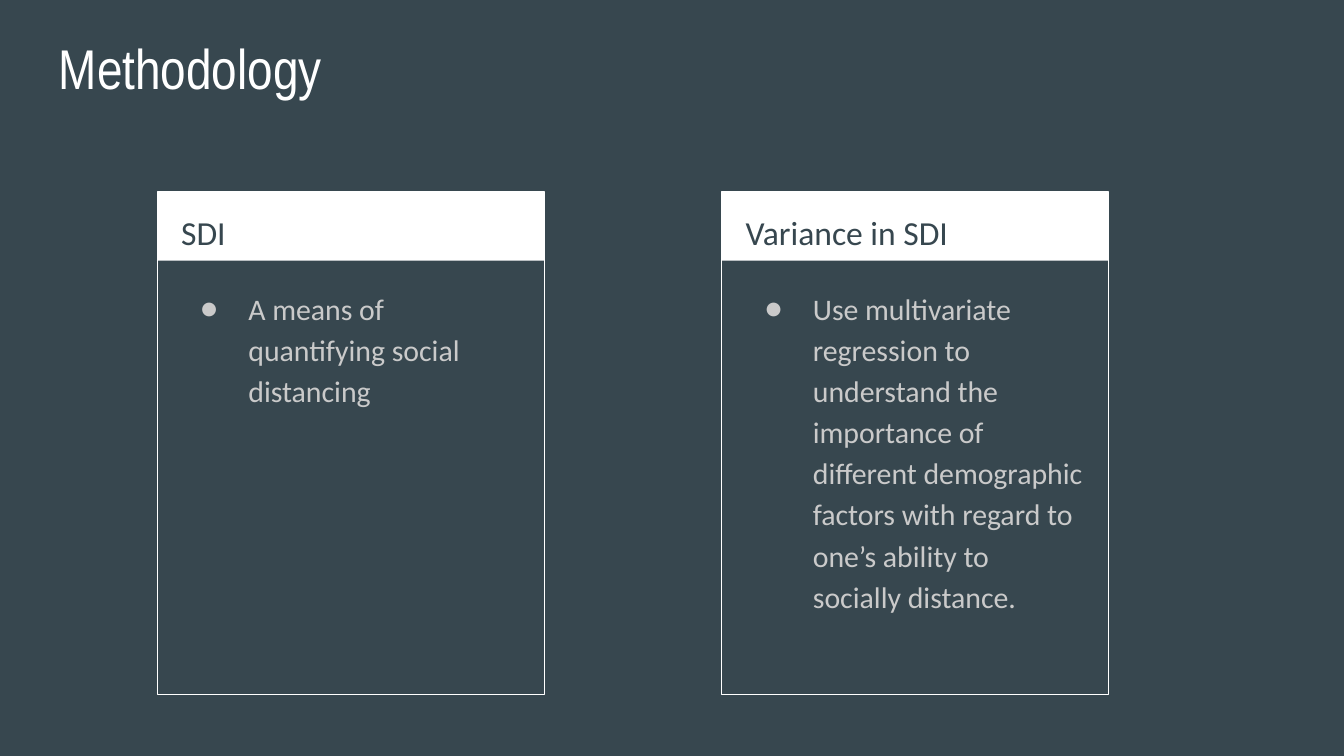
from lxml.etree import SubElement
from pptx import Presentation
from pptx.dml.color import RGBColor as Color
from pptx.enum.shapes import MSO_SHAPE as Shape
from pptx.enum.text import MSO_ANCHOR as Anchor
from pptx.oxml.ns import qn
from pptx.util import Inches, Pt

COLORS = {"slate": "37474F", "white": "FFFFFF", "gray": "CACACA"}
WIDTH = 10
HEIGHT = WIDTH * 9 / 16
CARD_LEFT, CARD_TOP, CARD_STEP = 1.17, 1.43, 4.2
CARD_WIDTH, CARD_HEIGHT, HEADER_HEIGHT = 2.88, 3.74, 0.51
CARDS = [
    ("SDI", "A means of quantifying social distancing"),
    ("Variance in SDI",
     "Use multivariate regression to understand the importance of different "
     "demographic factors with regard to one’s ability to socially distance."),
]


def color(name):
    """Return the named colour."""
    return Color.from_string(COLORS[name])


def add_panel(group, left, top, width, height, fill=None, line=None):
    """Add a rectangle with an optional fill and outline."""
    panel = group.shapes.add_shape(
        Shape.RECTANGLE, Inches(left), Inches(top), Inches(width), Inches(height))
    panel.shadow.inherit = False
    if fill:
        panel.fill.solid()
        panel.fill.fore_color.rgb = color(fill)
    else:
        panel.fill.background()
    if line:
        panel.line.color.rgb = color(line)
        panel.line.width = Pt(0.75)
    else:
        panel.line.fill.background()


def add_bullet(para, ink, font, indent=0.5, hanging=0.36):
    """Give a paragraph a coloured round bullet and a hanging indent."""
    props = para._p.get_or_add_pPr()
    props.set("marL", str(Inches(indent)))
    props.set("indent", str(-Inches(hanging)))
    tint = SubElement(props, qn("a:buClr"))
    SubElement(tint, qn("a:srgbClr"), val=COLORS[ink])
    SubElement(props, qn("a:buFont"), typeface=font)
    SubElement(props, qn("a:buChar"), char="●")


def add_text(page, text, left, top, width, height, *, size, ink,
             font="Calibri", spacing=None, bullet=False):
    """Add a wrapped text box with one formatted paragraph."""
    box = page.shapes.add_textbox(
        Inches(left), Inches(top), Inches(width), Inches(height))
    frame = box.text_frame
    frame.word_wrap = True
    frame.vertical_anchor = Anchor.TOP
    frame.margin_left = frame.margin_right = Inches(0.1)
    frame.margin_top = frame.margin_bottom = Inches(0.1)
    para = frame.paragraphs[0]
    if spacing:
        para.line_spacing = spacing
    if bullet:
        add_bullet(para, ink, font)
    span = para.add_run()
    span.text = text
    span.font.name = font
    span.font.size = Pt(size)
    span.font.color.rgb = color(ink)


def add_card(page, column, heading, body):
    """Add an outlined card with a filled header in a grid column."""
    left = CARD_LEFT + column * CARD_STEP
    group = page.shapes.add_group_shape()
    add_panel(group, left, CARD_TOP, CARD_WIDTH, HEADER_HEIGHT, fill="white")
    add_panel(group, left, CARD_TOP, CARD_WIDTH, CARD_HEIGHT, line="white")
    add_text(page, heading, left + 0.08, CARD_TOP, 2.73, 0.5,
             size=18, ink="slate", spacing=1.15)
    add_text(page, body, left + 0.08, CARD_TOP + 0.59, 2.71, 3.06,
             size=16, ink="gray", spacing=1.15, bullet=True)


def main():
    """Build the methodology slide and save it."""
    deck = Presentation()
    deck.slide_width, deck.slide_height = Inches(WIDTH), Inches(HEIGHT)
    page = deck.slides.add_slide(deck.slide_layouts[6])
    page.background.fill.solid()
    page.background.fill.fore_color.rgb = color("slate")
    add_text(page, "Methodology", 0.34, 0.15, WIDTH - 2 * 0.34, 1.12,
             size=30, ink="white", font="Arial Narrow")
    for column, (heading, body) in enumerate(CARDS):
        add_card(page, column, heading, body)
    deck.save("out.pptx")


if __name__ == "__main__":
    main()
